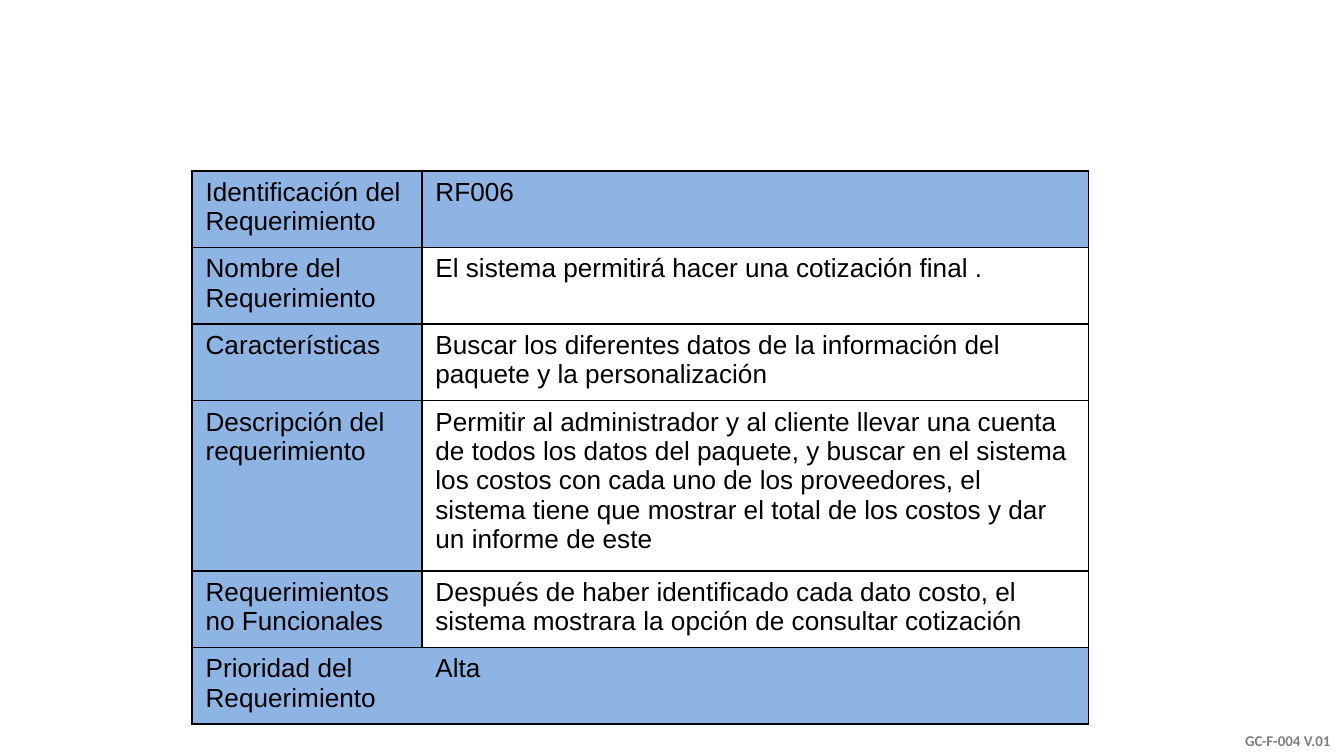
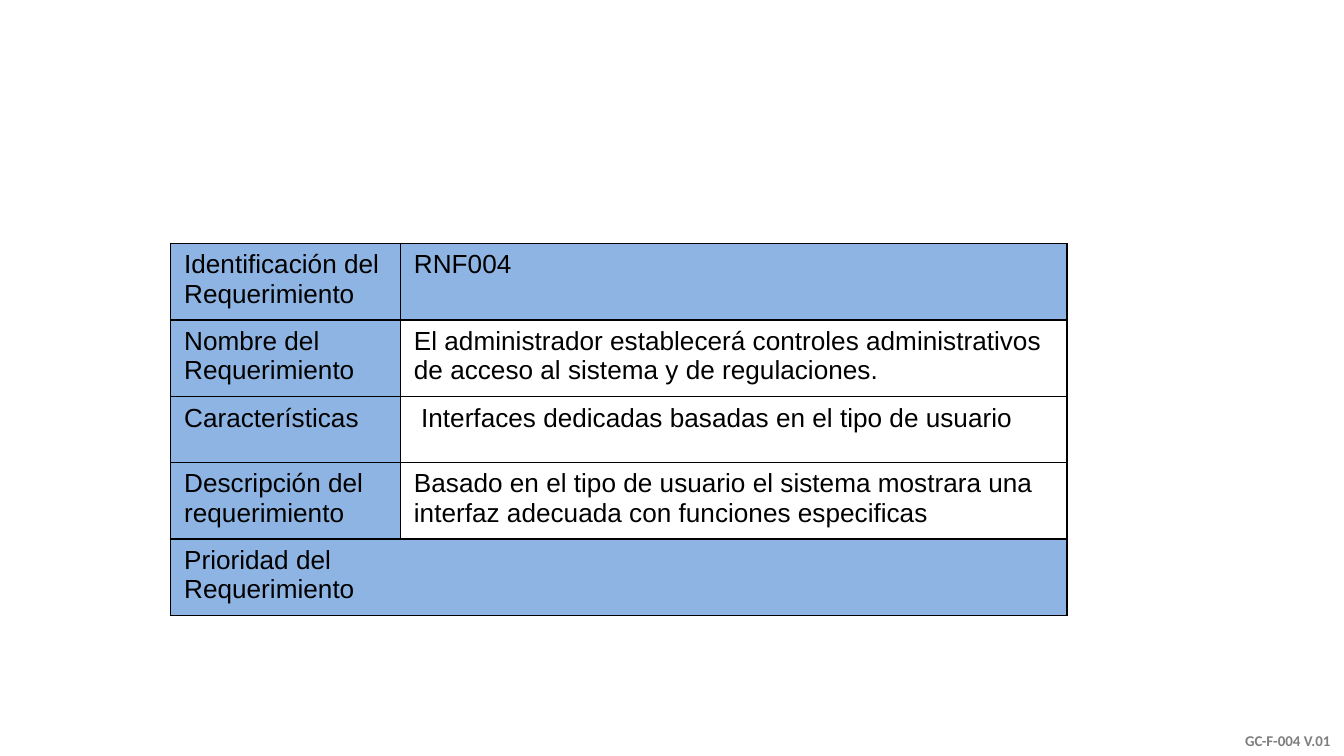
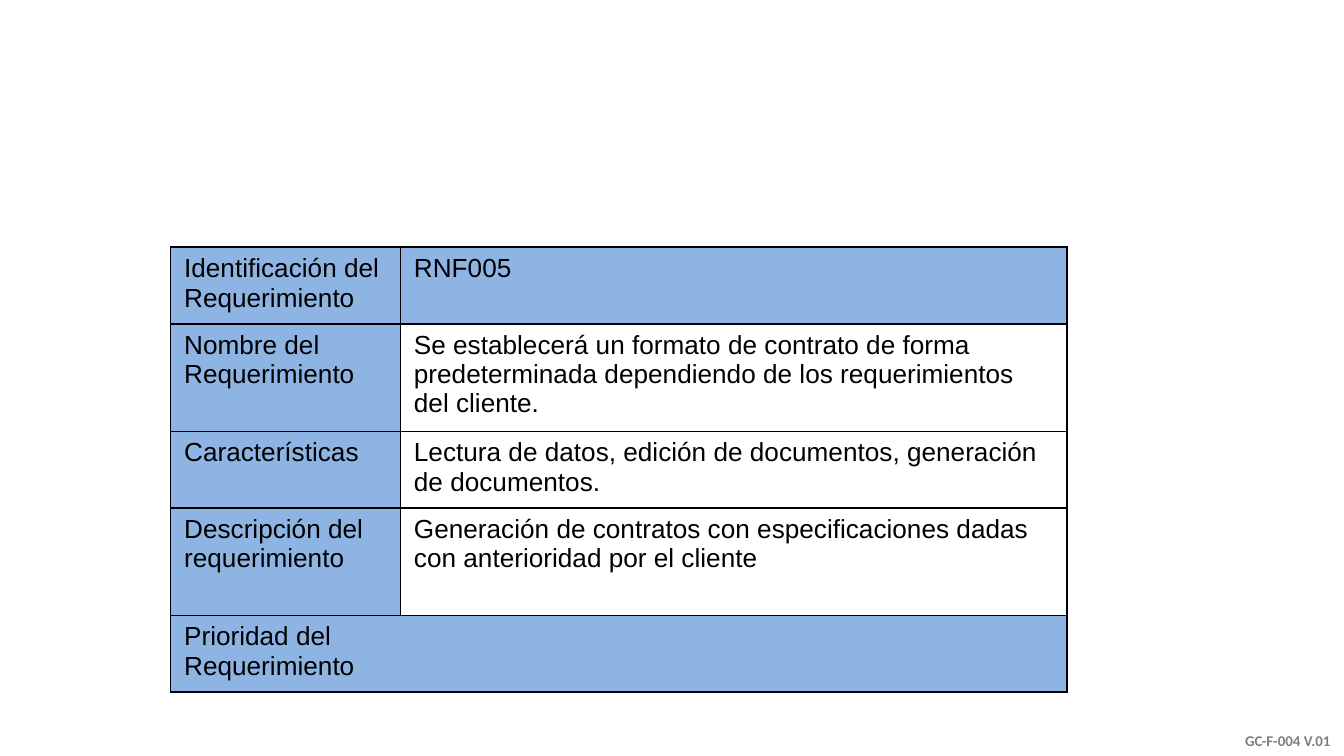
from dataclasses import dataclass

from lxml.etree import SubElement
from pptx import Presentation
from pptx.dml.color import RGBColor
from pptx.enum.text import MSO_ANCHOR as Anchor, PP_ALIGN as Align
from pptx.oxml.ns import qn
from pptx.slide import Slide
from pptx.table import _Cell as Cell
from pptx.text.text import TextFrame
from pptx.util import Inches, Length, Pt

BLUE = RGBColor(0x8E, 0xB4, 0xE3)
BLACK = RGBColor(0x00, 0x00, 0x00)
GRAY = RGBColor(0x7F, 0x7F, 0x7F)

WIDTH = Inches(10)
HEIGHT = WIDTH * 9 // 16
LABEL_SHARE, VALUE_SHARE = 17.1, 49.6  # column widths, percent of the slide
LINE, ROW_MARGIN = 0.23, 0.11  # inches per text line, plus cell margins

FOOTER = "GC-F-004 V.01"
ID = "Identificación del Requerimiento"
NAME = "Nombre del Requerimiento"
FEATURES = "Características"
DESCRIPTION = "Descripción del requerimiento"
NON_FUNCTIONAL = "Requerimientos no Funcionales"
PRIORITY = "Prioridad del Requerimiento"


@dataclass
class Row:
    """A labelled row, as tall as its number of text lines."""
    label: str
    value: str
    lines: float = 2


@dataclass
class Requirement:
    """A requirement table; left and top are percent of the slide."""
    left: float
    top: float
    rows: list[Row]


REQUIREMENTS = [
    Requirement(14.3, 22.6, [
        Row(ID, "RF006"),
        Row(NAME, "El sistema permitirá hacer una cotización final ."),
        Row(FEATURES, "Buscar los diferentes datos de la información del "
            "paquete y la personalización"),
        Row(DESCRIPTION, "Permitir al administrador y al cliente llevar una "
            "cuenta de todos los datos del paquete, y buscar en el sistema "
            "los costos con cada uno de los proveedores, el sistema tiene que "
            "mostrar el total de los costos y dar un informe de este", 5),
        Row(NON_FUNCTIONAL, "Después de haber identificado cada dato costo, "
            "el sistema mostrara la opción de consultar cotización"),
        Row(PRIORITY, "Alta"),
    ]),
    Requirement(12.7, 32.2, [
        Row(ID, "RNF004"),
        Row(NAME, "El administrador establecerá controles administrativos de "
            "acceso al sistema y de regulaciones."),
        Row(FEATURES, " Interfaces dedicadas basadas en el tipo de usuario",
            1.65),
        Row(DESCRIPTION, "Basado en el tipo de usuario el sistema mostrara "
            "una interfaz adecuada con funciones especificas"),
        Row(PRIORITY, ""),
    ]),
    Requirement(12.7, 32.7, [
        Row(ID, "RNF005"),
        Row(NAME, "Se establecerá un formato de contrato de forma "
            "predeterminada dependiendo de los requerimientos del cliente.",
            3),
        Row(FEATURES, "Lectura de datos, edición de documentos, generación "
            "de documentos."),
        Row(DESCRIPTION, "Generación de contratos con especificaciones dadas "
            "con anterioridad por el cliente", 3),
        Row(PRIORITY, ""),
    ]),
]


def across(percent: float) -> Length:
    """Turn a percentage of the slide's width into a length."""
    return Length(int(WIDTH * percent / 100))


def down(percent: float) -> Length:
    """Turn a percentage of the slide's height into a length."""
    return Length(int(HEIGHT * percent / 100))


def write(tf: TextFrame, text: str, font: str, size: float, color: RGBColor,
          bold: bool = False) -> None:
    """Set the text of a frame and format its single paragraph."""
    tf.text = text
    p = tf.paragraphs[0]
    for f in [p.font] + [r.font for r in p.runs]:
        f.name, f.size, f.bold = font, Pt(size), bold
        f.color.rgb = color


def set_borders(cell: Cell, hidden: str = "") -> None:
    """Draw thin black borders on a cell, except on the hidden side."""
    tc_pr = cell._tc.get_or_add_tcPr()
    for side in "LRTB":
        ln = SubElement(tc_pr, qn(f"a:ln{side}"), w=str(Pt(1)))
        if side == hidden:
            SubElement(ln, qn("a:noFill"))
        else:
            fill = SubElement(ln, qn("a:solidFill"))
            SubElement(fill, qn("a:srgbClr"), val=str(BLACK))


def add_requirement(s: Slide, req: Requirement) -> None:
    """Add the table of one requirement."""
    heights = [Inches(row.lines * LINE + ROW_MARGIN) for row in req.rows]
    table = s.shapes.add_table(
        len(req.rows), 2, across(req.left), down(req.top),
        across(LABEL_SHARE + VALUE_SHARE), sum(heights)).table
    table.first_row = table.horz_banding = False
    for column, share in zip(table.columns, (LABEL_SHARE, VALUE_SHARE)):
        column.width = across(share)
    for i, (row, height) in enumerate(zip(req.rows, heights)):
        table.rows[i].height = height
        joined = row.label == PRIORITY
        for j, text in enumerate((row.label, row.value)):
            cell = table.cell(i, j)
            write(cell.text_frame, text, "Arial", 14, BLACK)
            set_borders(cell, "RL"[j] if joined else "")
            if j == 0 or joined or row.label == ID:
                cell.fill.solid()
                cell.fill.fore_color.rgb = BLUE
            else:
                cell.fill.background()


def add_footer(s: Slide) -> None:
    """Add the format code in the bottom right corner."""
    width, height = across(16.3), down(7.6)
    tf = s.shapes.add_textbox(WIDTH - width, HEIGHT - height,
                              width, height).text_frame
    tf.word_wrap = True
    tf.vertical_anchor = Anchor.BOTTOM
    write(tf, FOOTER, "Calibri", 8, GRAY, bold=True)
    tf.paragraphs[0].alignment = Align.RIGHT


def main() -> None:
    """Build one slide per requirement."""
    prs = Presentation()
    prs.slide_width, prs.slide_height = WIDTH, HEIGHT
    for req in REQUIREMENTS:
        s = prs.slides.add_slide(prs.slide_layouts[6])
        add_footer(s)
        add_requirement(s, req)
    prs.save("out.pptx")


main()
